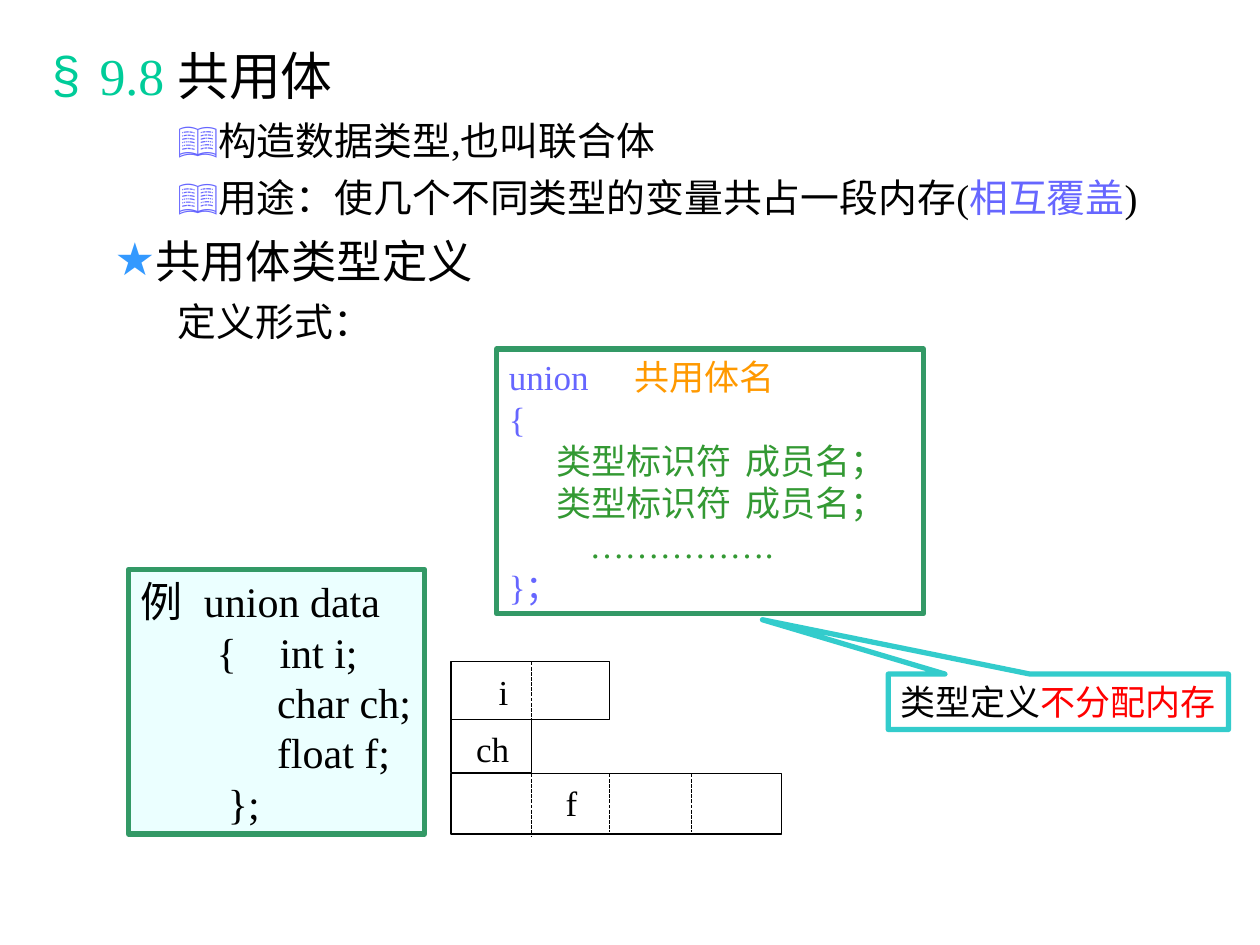
from lxml import etree
from pptx import Presentation
from pptx import util as u
from pptx.dml.color import RGBColor
from pptx.enum import dml, shapes, text
from pptx.oxml.ns import qn

Inches, Pt = u.Inches, u.Pt
C = {"black": "000000", "teal": "00CC99", "violet": "6666FF", "sky": "3399FF",
     "orange": "FF9900", "leaf": "339933", "frame": "339966", "mint": "EBFFFF",
     "callout": "33CCCC", "red": "FF0000"}
FONT = "Times New Roman"


def write(p, runs, size=20, margin=0, indent=0, before=0, line=None,
          align=text.PP_ALIGN.LEFT, bullet=None, bullet_color="black", tab=None):
    p.alignment = align
    p.space_before = Pt(before)
    if line:
        p.line_spacing = Pt(line)
    pPr = p._p.get_or_add_pPr()
    pPr.set("marL", str(Inches(margin)))
    pPr.set("indent", str(Inches(indent)))
    if bullet:
        clr = etree.SubElement(pPr, qn("a:buClr"))
        etree.SubElement(clr, qn("a:srgbClr"), val=C[bullet_color])
        etree.SubElement(pPr, qn("a:buChar"), char=bullet)
    else:
        etree.SubElement(pPr, qn("a:buNone"))
    if tab:
        tabs = etree.SubElement(pPr, qn("a:tabLst"))
        etree.SubElement(tabs, qn("a:tab"), pos=str(Inches(tab)), algn="l")
    for words, color in runs:
        r = p.add_run()
        r.text = words
        r.font.name = FONT
        r.font.size = Pt(size)
        r.font.color.rgb = RGBColor.from_string(C[color])


def box(kind, left, top, width, height, line, weight, fill=None):
    sp = s.shapes.add_shape(kind, Inches(left), Inches(top), Inches(width), Inches(height))
    sp.shadow.inherit = False
    sp.line.color.rgb = RGBColor.from_string(C[line])
    sp.line.width = Pt(weight)
    if fill:
        sp.fill.solid()
        sp.fill.fore_color.rgb = RGBColor.from_string(C[fill])
    else:
        sp.fill.background()
    sp.text_frame.vertical_anchor = text.MSO_ANCHOR.MIDDLE
    return sp


prs = Presentation()
prs.slide_width, prs.slide_height = Inches(10), Inches(7.5)
s = prs.slides.add_slide(prs.slide_layouts[1])
title = s.shapes.title
title._element.getparent().remove(title._element)

body = s.placeholders[1]
body.left, body.top = Inches(0.31), Inches(0.3)
body.width, body.height = Inches(9.69), Inches(2.52)
tf = body.text_frame
tf.auto_size = text.MSO_AUTO_SIZE.NONE
detail = dict(size=22.2, margin=1.25, indent=-0.25, before=6)
book = dict(detail, bullet="📖", bullet_color="violet")
outline = [
    (0, [("9.8 ", "teal"), ("共用体", "black")],
     dict(size=29.6, margin=0.38, indent=-0.38, before=8, bullet="§", bullet_color="teal")),
    (2, [("构造数据类型,也叫联合体", "black")], book),
    (2, [("用途：使几个不同类型的变量共占一段内存(", "black"),
         ("相互覆盖", "violet"), (")", "black")], book),
    (1, [("共用体类型定义", "black")],
     dict(size=25.9, margin=0.81, indent=-0.31, before=7, bullet="★", bullet_color="sky")),
    (2, [("定义形式：", "black")], detail),
]
for i, (level, runs, fmt) in enumerate(outline):
    p = tf.add_paragraph() if i else tf.paragraphs[0]
    p.level = level
    write(p, runs, **fmt)

RECT = shapes.MSO_SHAPE.RECTANGLE
member = ([("类型标识符\t成员名；", "leaf")], 0.38, 2.02)
syntax = [
    ([("union\t", "violet"), ("共用体名", "orange")], 0, 0.91),
    ([("{", "violet")], 0, None),
    member,
    member,
    ([("…………….", "leaf")], 0.64, None),
    ([("}；", "violet")], 0, None),
]
example = [
    ([("例\tunion data", "black")], 0, 0.64),
    ([("{\tint i;", "black")], 0.6, 1.08),
    ([("char ch;", "black")], 1.08, None),
    ([("float f;", "black")], 1.08, None),
    ([("};", "black")], 0.69, None),
]
for place, fill, size, lines in [((3.94, 2.77, 3.39, 2.1), None, 20, syntax),
                                 ((1.02, 4.52, 2.35, 2.1), "mint", 24, example)]:
    tf = box(RECT, *place, "frame", 3, fill).text_frame
    tf.word_wrap = True
    tf.margin_right = 0
    for i, (runs, margin, tab) in enumerate(lines):
        p = tf.add_paragraph() if i else tf.paragraphs[0]
        write(p, runs, size=size, margin=margin, tab=tab, line=size * 1.2)

for left, top, width, height in [(3.58, 5.25, 1.26, 0.46), (3.58, 5.71, 0.64, 0.42),
                                 (3.58, 6.14, 2.62, 0.48)]:
    box(RECT, left, top, width, height, "black", 0.75)

for x, top, bottom in [(4.22, 5.25, 5.71), (4.22, 6.14, 6.64),
                       (4.84, 6.14, 6.6), (5.49, 6.14, 6.6)]:
    ln = s.shapes.add_connector(shapes.MSO_CONNECTOR.STRAIGHT,
                                Inches(x), Inches(top), Inches(x), Inches(bottom))
    ln.line.color.rgb = RGBColor.from_string(C["black"])
    ln.line.width = Pt(0.75)
    ln.line.dash_style = dml.MSO_LINE.SQUARE_DOT
    etree.SubElement(ln._element.spPr, qn("a:effectLst"))

for name, left, top, width in [("f", 4.39, 6.15, 0.29), ("ch", 3.68, 5.72, 0.46),
                               ("i", 3.86, 5.27, 0.27)]:
    tb = s.shapes.add_textbox(Inches(left), Inches(top), Inches(width), Inches(0.44))
    tf = tb.text_frame
    tf.word_wrap = False
    tf.vertical_anchor = text.MSO_ANCHOR.MIDDLE
    write(tf.paragraphs[0], [(name, "black")], align=text.PP_ALIGN.CENTER)

note = box(shapes.MSO_SHAPE.RECTANGULAR_CALLOUT, 7.05, 5.35, 2.7, 0.44, "callout", 3)
note.adjustments[0], note.adjustments[1] = -0.87, -1.48
note.text_frame.word_wrap = False
write(note.text_frame.paragraphs[0], [("类型定义", "black"), ("不分配内存", "red")],
      align=text.PP_ALIGN.CENTER)

prs.save("out.pptx")
